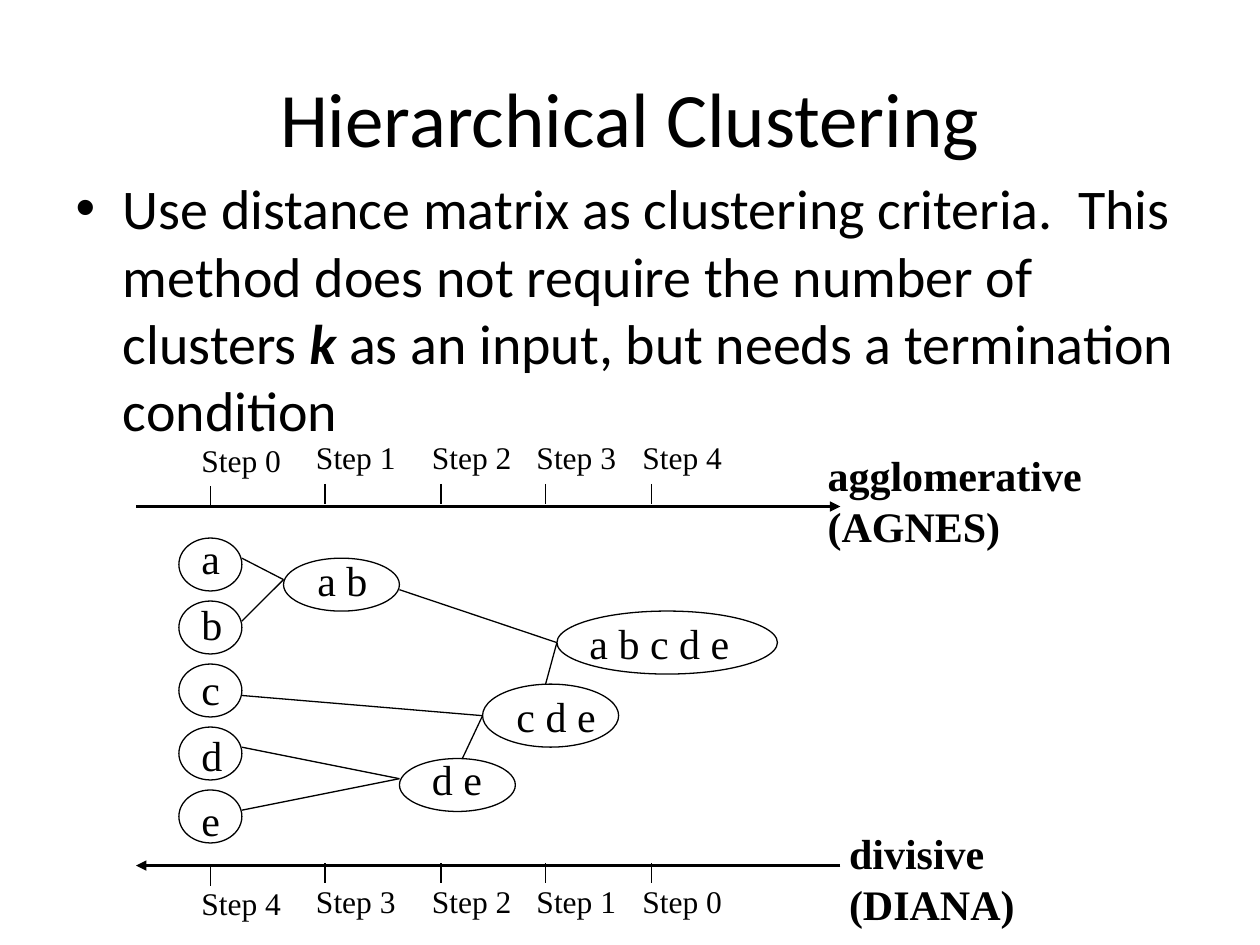
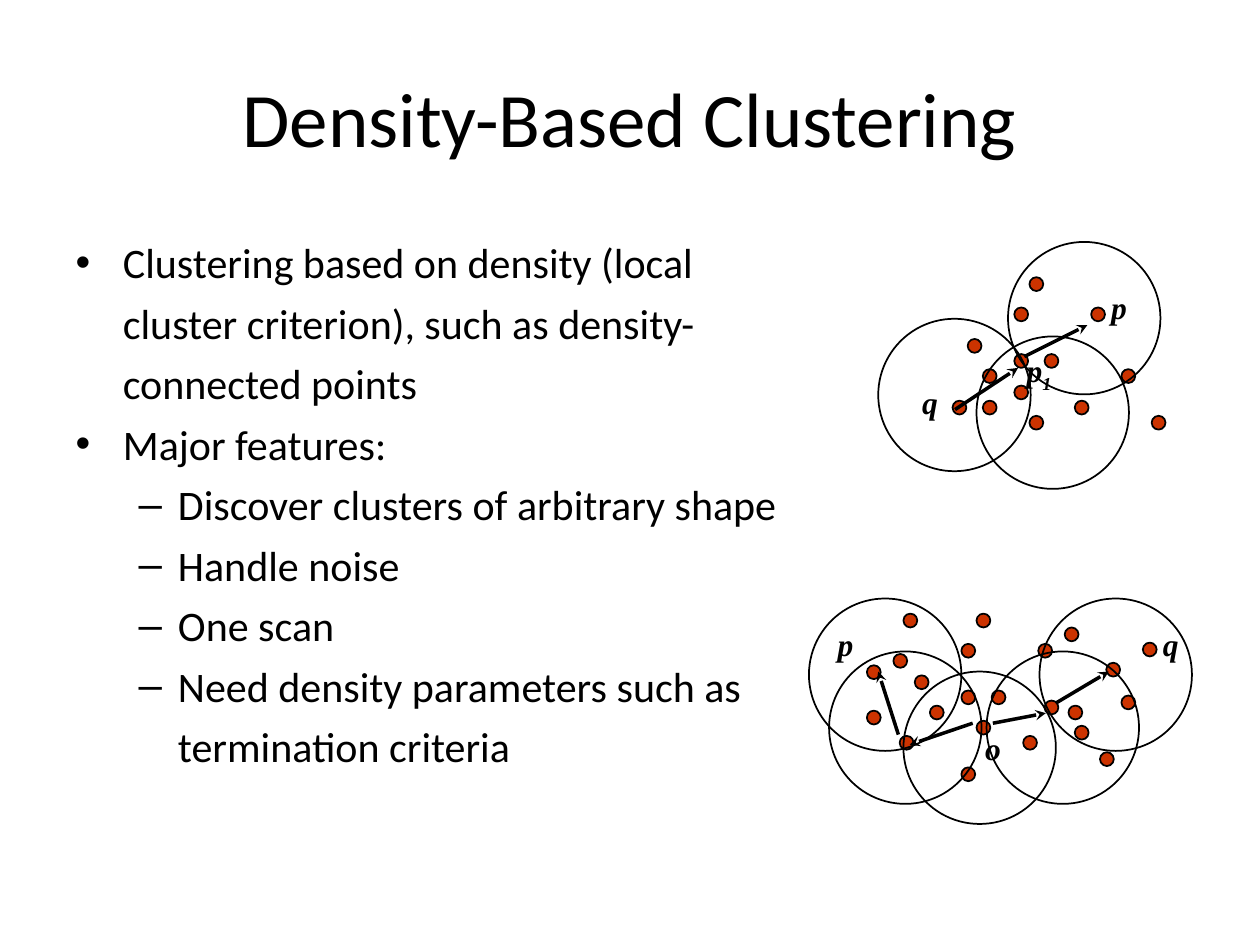
"""Build two slides on hierarchical and density-based clustering."""
import dataclasses

import pptx
import pptx.dml.color
import pptx.enum.shapes
import pptx.enum.text
import pptx.oxml
import pptx.oxml.ns
import pptx.util

Inches = pptx.util.Inches


@dataclasses.dataclass(frozen=True)
class Theme:
    ink = pptx.dml.color.RGBColor(0x00, 0x00, 0x00)
    dot = pptx.dml.color.RGBColor(0xCC, 0x33, 0x00)
    text_font = "Calibri"
    diagram_font = "Times New Roman"
    title_size = 44
    lead_size = 32
    list_size = 24
    cluster_size = 24
    label_size = 18
    thin = 0.75
    outline = 1
    axis = 1.5
    arrow = 2


theme = Theme()


def add_line(slide, start, end, weight, arrowhead=None):
    """Draw a straight line, with an optional arrowhead at its end."""
    connector = slide.shapes.add_connector(
        pptx.enum.shapes.MSO_CONNECTOR.STRAIGHT,
        *(Inches(value) for value in (*start, *end)))
    connector.line.color.rgb = theme.ink
    connector.line.width = pptx.util.Pt(weight)
    properties = connector._element.spPr
    if arrowhead:
        tail = pptx.oxml.parse_xml(
            f'<a:tailEnd {pptx.oxml.ns.nsdecls("a")} type="{arrowhead}"/>')
        properties.find(pptx.oxml.ns.qn("a:ln")).append(tail)
    properties.append(pptx.oxml.parse_xml(
        f'<a:effectLst {pptx.oxml.ns.nsdecls("a")}/>'))


def add_runs(paragraph, texts, size, font=theme.diagram_font, bold=False, italic=False):
    """Add runs of one style to a paragraph and return them."""
    runs = []
    for text in texts:
        run = paragraph.add_run()
        run.text = text
        run.font.name = font
        run.font.size = pptx.util.Pt(size)
        run.font.color.rgb = theme.ink
        run.font.bold = bold
        run.font.italic = italic
        runs.append(run)
    return runs


presentation = pptx.Presentation()
presentation.slide_width = Inches(10)
presentation.slide_height = Inches(7.5)

slides = []
bodies = []
for title, body_box in (
    ("Hierarchical Clustering", (0.5, 1.33, 9, 4.95)),
    ("Density-Based Clustering", (0.5, 1.75, 5.83, 5.58)),
):
    slide = presentation.slides.add_slide(presentation.slide_layouts[1])
    heading = slide.shapes.title
    heading.left, heading.top, heading.width, heading.height = (
        Inches(value) for value in (0.5, 0.3, 9, 1.25))
    add_runs(heading.text_frame.paragraphs[0], [title], theme.title_size, theme.text_font)
    body = slide.placeholders[1]
    body.left, body.top, body.width, body.height = (Inches(value) for value in body_box)
    body.text_frame.auto_size = pptx.enum.text.MSO_AUTO_SIZE.NONE
    slides.append(slide)
    bodies.append(body.text_frame)
hierarchy, density = slides

lead_runs = add_runs(bodies[0].paragraphs[0], (
    "Use distance matrix as clustering criteria.  This method does not require "
    "the number of clusters ",
    "k",
    " as an input, but needs a termination condition",
), theme.lead_size, theme.text_font)
lead_runs[1].font.bold = lead_runs[1].font.italic = True

features = (
    (0, "Clustering based on density (local cluster criterion), such as density-connected points"),
    (0, "Major features:"),
    (1, "Discover clusters of arbitrary shape"),
    (1, "Handle noise"),
    (1, "One scan"),
    (1, "Need density parameters such as termination criteria"),
)
for index, (level, text) in enumerate(features):
    paragraph = bodies[1].add_paragraph() if index else bodies[1].paragraphs[0]
    paragraph.level = level
    paragraph.line_spacing = 1.2
    paragraph.space_before = pptx.util.Pt(0)
    add_runs(paragraph, [text], theme.list_size, theme.text_font)

labels = [
    (hierarchy, 6.47, 3.52, 2.3, ("agglomerative", "(AGNES)"), theme.cluster_size, True, False),
    (hierarchy, 6.64, 6.52, 1.6, ("divisive", "(DIANA)"), theme.cluster_size, True, False),
]

add_line(hierarchy, (1.08, 4.02), (6.67, 4.02), theme.axis, "triangle")
add_line(hierarchy, (6.67, 6.87), (1.08, 6.87), theme.axis, "triangle")
for step, tick in enumerate((1.67, 2.58, 3.5, 4.33, 5.17)):
    drop = 0 if step else 0.02
    for number, tick_top, label_top in ((step, 3.84, 3.43), (4 - step, 6.85, 6.95)):
        add_line(hierarchy, (tick, tick_top + drop), (tick, tick_top + drop + 0.16), theme.thin)
        labels.append((hierarchy, tick - 0.17, label_top + drop, 0.9,
                       (f"Step {number}",), theme.label_size, False, False))

ellipses = []
for index, item in enumerate("abcde"):
    ellipses.append((hierarchy, 1.42, 4.27 + 0.5 * index, 0.5, 0.42, None, theme.thin))
    labels.append((hierarchy, 1.5, 4.18 + 0.52 * index, 0.45, (item,),
                   theme.cluster_size, False, False))
for members, left, top, width, height, text_left, text_top in (
    ("a b", 2.25, 4.43, 0.92, 0.42, 2.42, 4.35),
    ("d e", 3.17, 6.02, 0.92, 0.42, 3.33, 5.93),
    ("c d e", 3.83, 5.43, 1.08, 0.5, 4, 5.43),
    ("a b c d e", 4.42, 4.85, 1.75, 0.5, 4.58, 4.85),
):
    ellipses.append((hierarchy, left, top, width, height, None, theme.thin))
    labels.append((hierarchy, text_left, text_top, width, (members,),
                   theme.cluster_size, False, False))

for parent, children in (
    ((2.25, 4.6), ((1.92, 4.43), (1.92, 4.93))),
    ((3.17, 6.18), ((1.92, 5.93), (1.92, 6.43))),
    ((3.83, 5.68), ((1.92, 5.52), (3.67, 6.02))),
    ((4.42, 5.1), ((3.17, 4.68), (4.33, 5.43))),
):
    for child in children:
        add_line(hierarchy, child, parent, theme.thin)

reachable_points = (
    (7.68, 2.69), (8.05, 2.81), (8.05, 2.44), (7.56, 3.18), (7.8, 2.93),
    (7.8, 3.18), (8.17, 3.3), (8.17, 2.2), (8.9, 2.93), (8.66, 2.44),
    (8.05, 3.06), (8.29, 2.81), (8.53, 3.18), (9.14, 3.3),
)
connected_points = (
    (7.26, 5.36), (7.63, 5.48), (7.63, 5.11), (7.14, 5.84), (7.38, 5.6),
    (7.63, 6.09), (7.75, 5.72), (7.75, 4.87), (8.48, 5.6), (8.24, 5.11),
    (6.88, 5.64), (7.87, 5.48), (8.12, 5.84), (8.73, 5.97), (8.9, 5.52),
    (8.29, 5.56), (8.53, 5.76), (9.07, 5.1), (8.45, 4.98), (8.78, 5.26),
    (7.09, 5.19), (6.88, 5.28), (7.17, 4.87),
)
neighborhoods = (
    (7.75, 2.67), (6.97, 2.53), (8, 1.92),
    (6.58, 5.17), (7.17, 5.33), (7.83, 5.17), (8.25, 4.75), (6.42, 4.75),
)
for corners, diameter, fill in (
    (reachable_points + connected_points, 0.11, theme.dot),
    (neighborhoods, 1.21, None),
):
    for left, top in corners:
        ellipses.append((density, left, top, diameter, diameter, fill, theme.outline))

for slide, left, top, width, height, fill, weight in ellipses:
    ellipse = slide.shapes.add_shape(
        pptx.enum.shapes.MSO_SHAPE.OVAL,
        Inches(left), Inches(top), Inches(width), Inches(height))
    ellipse.shadow.inherit = False
    ellipse.line.color.rgb = theme.ink
    ellipse.line.width = pptx.util.Pt(weight)
    if fill is None:
        ellipse.fill.background()
    else:
        ellipse.fill.solid()
        ellipse.fill.fore_color.rgb = fill

for start, end in (
    ((8.13, 2.83), (8.63, 2.58)),
    ((7.58, 3.25), (8.08, 2.92)),
    ((7.72, 5.74), (7.22, 5.91)),
    ((7.88, 5.74), (8.3, 5.66)),
    ((7.13, 5.83), (6.97, 5.33)),
    ((8.38, 5.58), (8.8, 5.33)),
):
    add_line(density, start, end, theme.arrow, "stealth")

for name, left, top in (
    ("p", 8.72, 2.24), ("q", 7.22, 2.99), ("p", 6.55, 4.91),
    ("q", 9.13, 4.91), ("o", 7.72, 5.74), ("p", 8.05, 2.74),
):
    labels.append((density, left, top, 0.42, (name,), theme.label_size, True, True))

for slide, left, top, width, lines, size, bold, italic in labels:
    frame = slide.shapes.add_textbox(
        Inches(left), Inches(top), Inches(width), Inches(0.45 * len(lines))).text_frame
    frame.word_wrap = True
    for index, line in enumerate(lines):
        paragraph = frame.add_paragraph() if index else frame.paragraphs[0]
        add_runs(paragraph, [line], size, bold=bold, italic=italic)

subscript = add_runs(paragraph, ["1"], theme.label_size, bold=True, italic=True)[0]
subscript.font._element.set("baseline", "-25000")

presentation.save("out.pptx")
